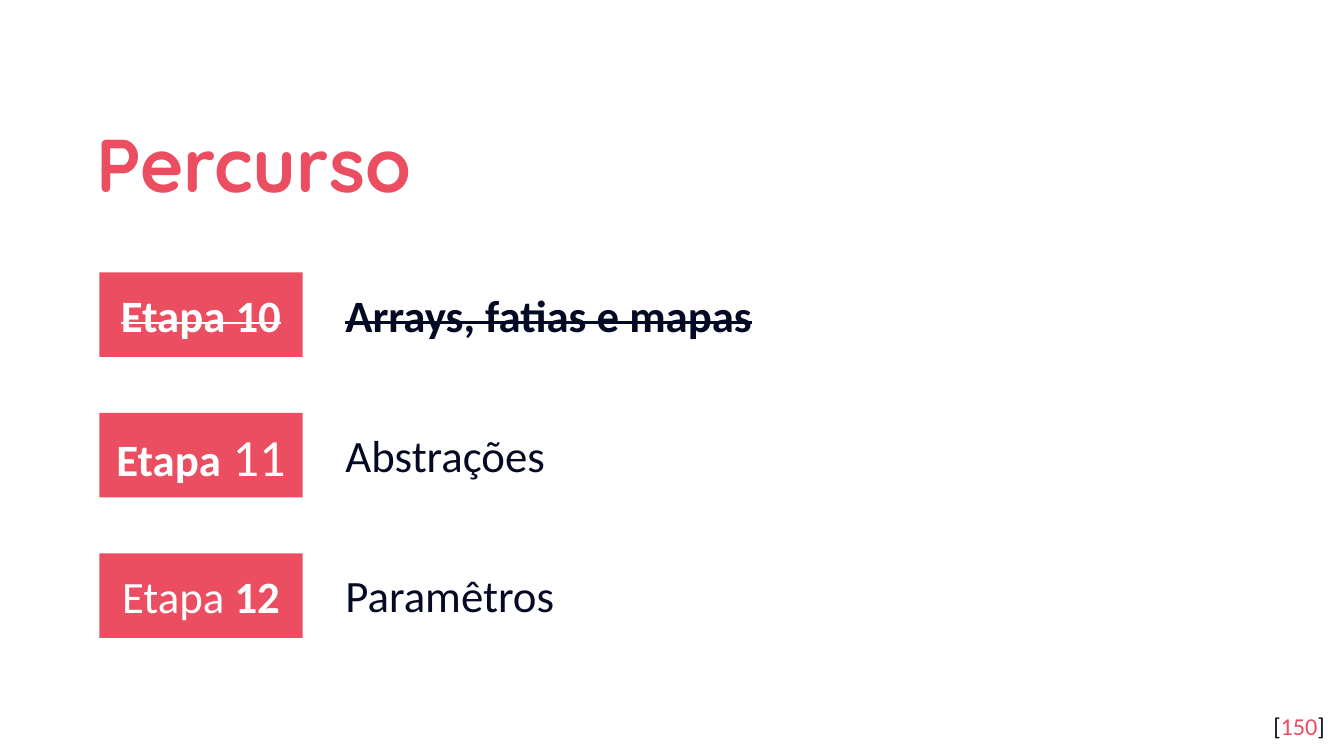
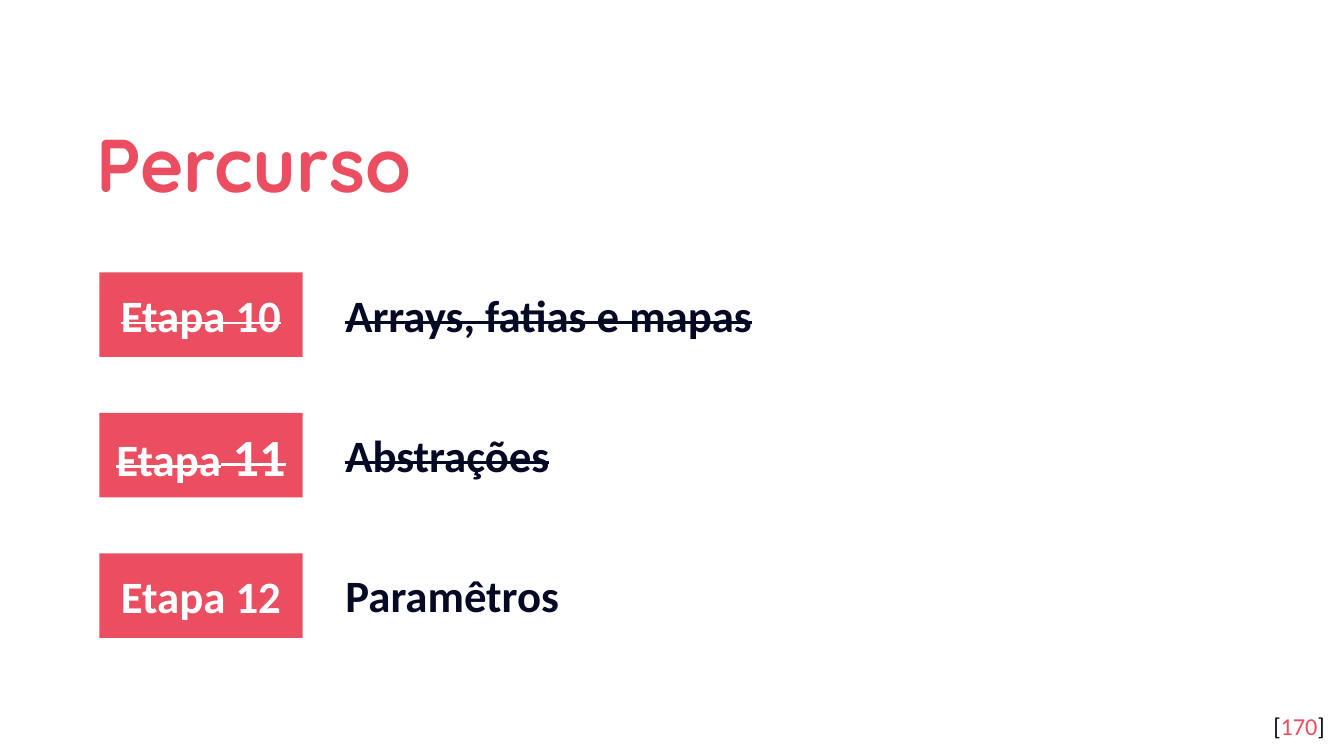
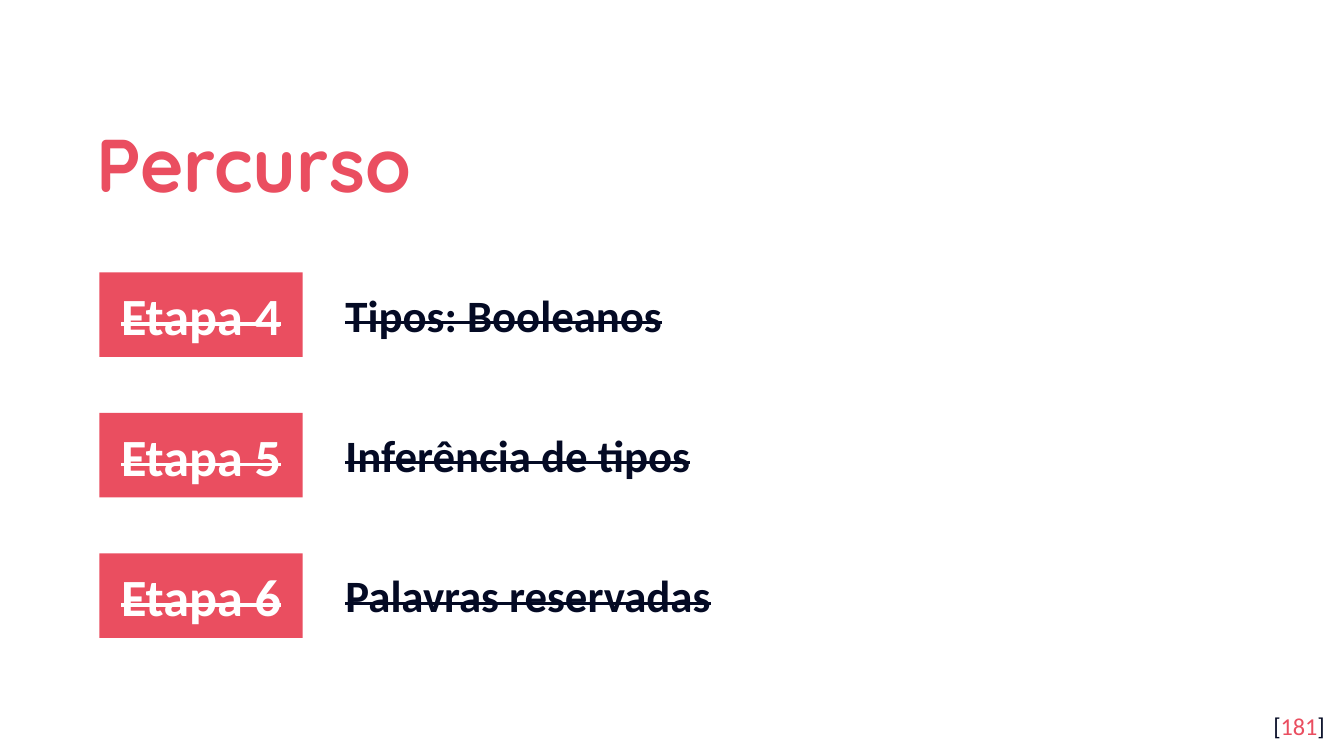
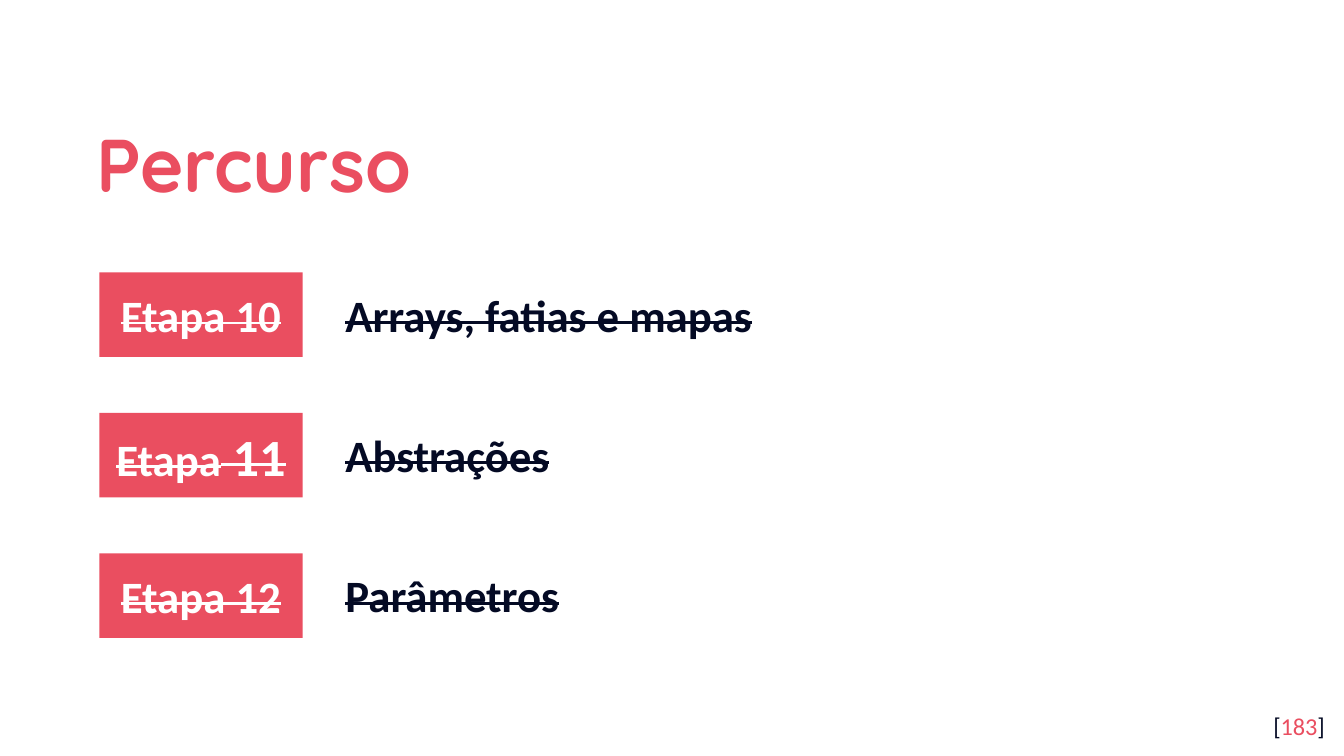
from dataclasses import dataclass

from pptx import Presentation
from pptx.dml.color import RGBColor
from pptx.enum.shapes import MSO_SHAPE
from pptx.enum.text import MSO_ANCHOR, MSO_AUTO_SIZE, PP_ALIGN
from pptx.util import Cm, Pt


@dataclass(frozen=True)
class Theme:
    accent: str = "EA4E60"
    ink: str = "040A24"
    paper: str = "FFFFFF"
    head: str = "Quicksand"
    body: str = "Calibri"
    title: int = 40
    large: int = 28
    text: int = 24
    small: int = 13


T = Theme()

# Run formats for the state of a step
BOLD = dict(bold=True)
DONE = dict(bold=True, strike=True)
LARGE = dict(size=T.large)

# Boxes in cm: left, top, width, height
TITLE = (1.57, 1.78, 20.57, 2.34)
STEPS = (1.88, 5.15, 21.55, 6.91)
PAGE = (23.77, 13.19, 1.52, 1.09)

# Steps found on more than one slide: label runs, topic, topic format
ARRAYS = ([("Etapa 10", DONE)], "Arrays, fatias e mapas", DONE)
ABSTRACT = ([("Etapa", DONE), (" 11", DONE | LARGE)], "Abstrações", DONE)


def basic(num, topic):
    return [(f"Etapa {num}", DONE | LARGE)], topic, DONE


SLIDES = [
    (150, [
        ARRAYS,
        ([("Etapa", BOLD), (" 11", LARGE)], "Abstrações", {}),
        ([("Etapa ", {}), ("12", BOLD)], "Paramêtros", {}),
    ]),
    (170, [ARRAYS, ABSTRACT, ([("Etapa 12", BOLD)], "Paramêtros", BOLD)]),
    (181, [
        basic(4, "Tipos: Booleanos"),
        basic(5, "Inferência de tipos"),
        basic(6, "Palavras reservadas"),
    ]),
    (183, [ARRAYS, ABSTRACT, ([("Etapa 12", DONE)], "Parâmetros", DONE)]),
]


def place(box):
    return [Cm(side) for side in box]


def write(shape, runs, size=T.text, color=T.ink, font=T.body, bold=False,
          strike=False, align=PP_ALIGN.LEFT, anchor=MSO_ANCHOR.TOP,
          pad=0.25, space=1.0, hang=0):
    """Fill a shape with runs; each run may override the shared format."""
    frame = shape.text_frame
    frame.word_wrap = True
    frame.auto_size = MSO_AUTO_SIZE.NONE
    frame.vertical_anchor = anchor
    frame.margin_left = frame.margin_right = Cm(0.25)
    frame.margin_top = frame.margin_bottom = Cm(pad)
    para = frame.paragraphs[0]
    para.alignment, para.line_spacing = align, space
    if hang:
        props = para._p.get_or_add_pPr()
        props.set("marL", str(Cm(hang)))
        props.set("indent", str(-Cm(hang)))
    base = dict(size=size, color=color, font=font, bold=bold, strike=strike)
    for text, extra in runs:
        look = base | extra
        run = para.add_run()
        run.text = text
        run.font.size = Pt(look["size"])
        run.font.name = look["font"]
        run.font.bold = look["bold"]
        run.font.color.rgb = RGBColor.from_string(look["color"])
        if look["strike"]:
            run._r.get_or_add_rPr().set("strike", "sngStrike")


def add_title(slide, text, box):
    title = slide.shapes.title
    title.left, title.top, title.width, title.height = place(box)
    write(title, [(text, {})], size=T.title, color=T.accent, font=T.head,
          bold=True, anchor=MSO_ANCHOR.MIDDLE, space=1.15)


def add_label(slide, runs, box):
    tag = slide.shapes.add_shape(MSO_SHAPE.RECTANGLE, *place(box))
    tag.shadow.inherit = False
    tag.fill.solid()
    tag.fill.fore_color.rgb = RGBColor.from_string(T.accent)
    tag.line.fill.background()
    write(tag, runs, color=T.paper, align=PP_ALIGN.CENTER,
          anchor=MSO_ANCHOR.MIDDLE)


def add_topic(slide, text, state, box):
    left, top, width, height = place(box)
    right, base = left + width, top + height
    pen = slide.shapes.build_freeform(left, top)
    pen.add_line_segments([(right, top), (right, base), (left, base)])
    note = pen.convert_to_shape()
    note.shadow.inherit = False
    note.fill.background()
    note.line.fill.background()
    write(note, [(text, state)], pad=0.13, hang=1.27)


def add_steps(slide, steps, box):
    left, top, width, height = box
    row, inset = 1.6, 4.4
    pitch = (height - row) / (len(steps) - 1)
    for i, (label, topic, state) in enumerate(steps):
        y = top + i * pitch
        add_label(slide, label, (left, y, 3.84, row))
        add_topic(slide, topic, state,
                  (left + inset, y + 0.15, width - inset, 1.27))


def add_page(slide, num, box):
    note = slide.shapes.add_textbox(*place(box))
    write(note, [("[", {}), (str(num), dict(color=T.accent)), ("]", {})],
          size=T.small, align=PP_ALIGN.RIGHT)


def main():
    deck = Presentation()
    deck.slide_width, deck.slide_height = Cm(25.4), Cm(14.29)
    for num, steps in SLIDES:
        slide = deck.slides.add_slide(deck.slide_layouts[5])
        add_title(slide, "Percurso", TITLE)
        add_steps(slide, steps, STEPS)
        add_page(slide, num, PAGE)
    deck.save("out.pptx")


if __name__ == "__main__":
    main()
